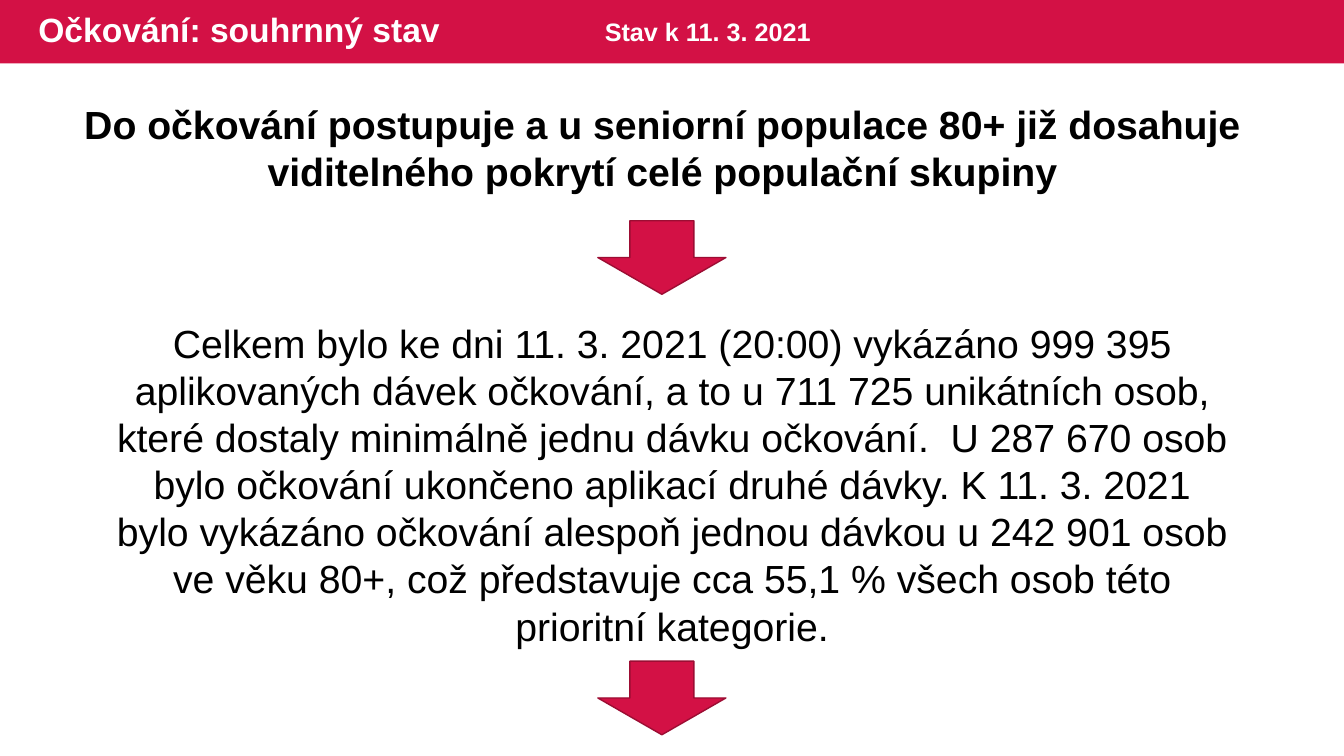
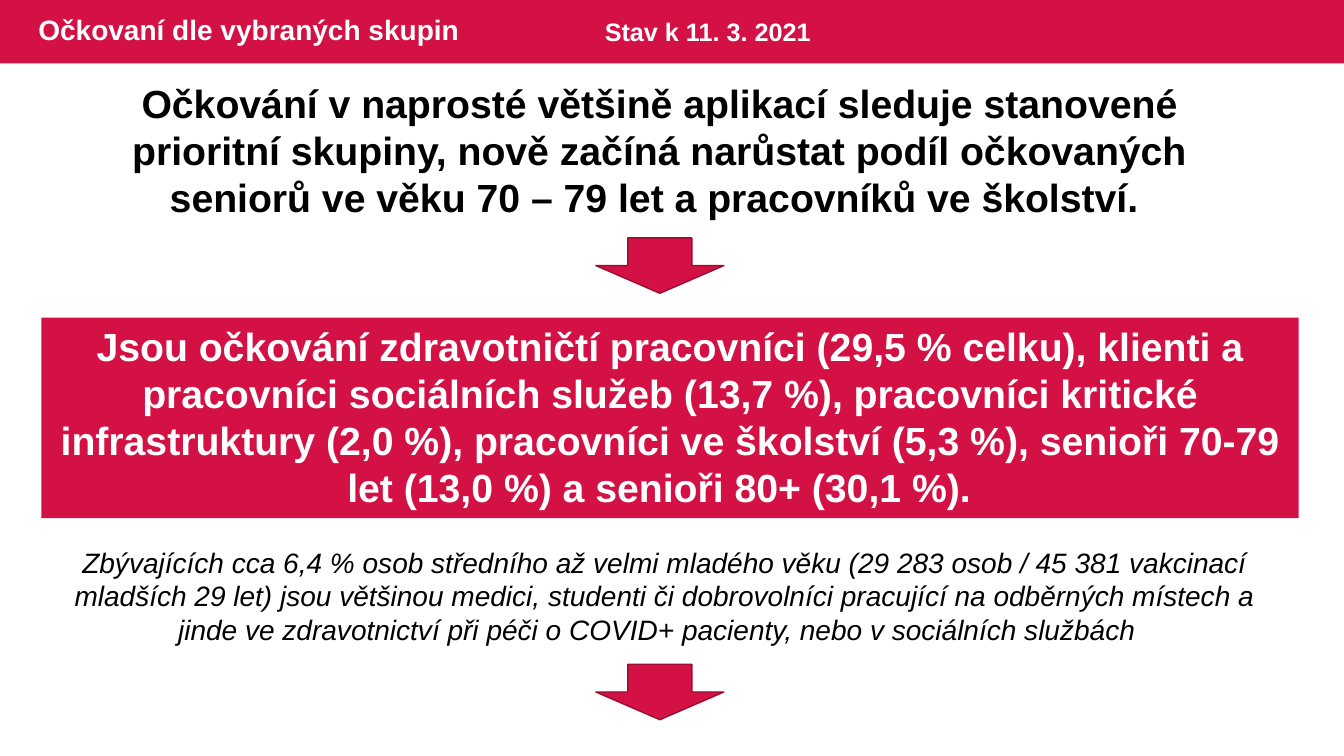
from pptx import Presentation
from pptx.dml.color import RGBColor
from pptx.enum.shapes import MSO_SHAPE
from pptx.enum.text import MSO_ANCHOR, MSO_AUTO_SIZE, PP_ALIGN
from pptx.util import Inches, Pt

COLORS = {"red": "D31145", "dark red": "9C0D33", "white": "FFFFFF", "black": "000000"}
FONT = "Arial"
WIDTH, HEIGHT, BAND_HEIGHT = 13.33, 7.5, 0.63
ARROW_WIDTH = 1.27
STATUS = "Stav k 11. 3. 2021"

# Content: boxes are (left, top, width, height) in inches
SLIDES = [
    {
        "title": "Očkování: souhrnný stav",
        "title_size": 24,
        "statements": [
            ("Do očkování postupuje a u seniorní populace 80+ již dosahuje viditelného "
             "pokrytí celé populační skupiny",
             (0.45, 0.95, 12.24, 1.04), {"bold": True}),
            ("Celkem bylo ke dni 11. 3. 2021 (20:00) vykázáno 999 395 aplikovaných dávek "
             "očkování, a to u 711 725 unikátních osob, které dostaly minimálně jednu dávku "
             "očkování.  U 287 670 osob bylo očkování ukončeno aplikací druhé dávky. "
             "K 11. 3. 2021 bylo vykázáno očkování alespoň jednou dávkou u 242 901 osob "
             "ve věku 80+, což představuje cca 55,1 % všech osob této prioritní kategorie.",
             (1.02, 3.12, 11.29, 3.4), {}),
        ],
        "arrows": {"left": 5.93, "height": 0.73, "tops": (2.19, 6.56)},
    },
    {
        "title": "Očkovaní dle vybraných skupin",
        "title_size": 20,
        "statements": [
            ("Očkování v naprosté většině aplikací sleduje stanovené prioritní skupiny, nově "
             "začíná narůstat podíl očkovaných seniorů ve věku 70 – 79 let a pracovníků "
             "ve školství. ",
             (0.7, 0.74, 11.68, 1.51), {"bold": True}),
            ("Jsou očkování zdravotničtí pracovníci (29,5 % celku), klienti a pracovníci "
             "sociálních služeb (13,7 %), pracovníci kritické infrastruktury (2,0 %), "
             "pracovníci ve školství (5,3 %), senioři 70-79 let (13,0 %) a senioři 80+ "
             "(30,1 %).  ",
             (0.41, 3.15, 12.47, 1.99), {"bold": True, "color": "white", "fill": "red"}),
            ("Zbývajících cca 6,4 % osob středního až velmi mladého věku (29 283 osob / "
             "45 381 vakcinací mladších 29 let) jsou většinou medici, studenti či "
             "dobrovolníci pracující na odběrných místech a jinde ve zdravotnictví při péči "
             "o COVID+ pacienty, nebo v sociálních službách  ",
             (0.31, 5.36, 12.57, 1.11), {"size": 20, "italic": True}),
        ],
        "arrows": {"left": 5.91, "height": 0.55, "tops": (2.36, 6.59)},
    },
]


def rgb(name):
    return RGBColor.from_string(COLORS[name])


def write(holder, text, size=28, color="black", bold=False, italic=False,
          align=PP_ALIGN.CENTER, anchor=MSO_ANCHOR.TOP, spacing=None):
    frame = holder.text_frame
    frame.word_wrap = True
    frame.auto_size = MSO_AUTO_SIZE.NONE
    frame.vertical_anchor = anchor
    paragraph = frame.paragraphs[0]
    paragraph.alignment = align
    paragraph.line_spacing = spacing
    run = paragraph.add_run()
    run.text = text
    font = run.font
    font.name, font.size, font.bold, font.italic = FONT, Pt(size), bold, italic
    font.color.rgb = rgb(color)


def add_box(slide, box, fill, line=None, kind=MSO_SHAPE.RECTANGLE):
    shape = slide.shapes.add_shape(kind, *map(Inches, box))
    shape.shadow.inherit = False
    shape.fill.solid()
    shape.fill.fore_color.rgb = rgb(fill)
    if line:
        shape.line.color.rgb = rgb(line)
        shape.line.width = Pt(1)
    else:
        shape.line.fill.background()
    return shape


def add_statement(slide, text, box, fill=None, **style):
    if fill:
        holder = add_box(slide, box, fill)
    else:
        holder = slide.shapes.add_textbox(*map(Inches, box))
    write(holder, text, **style)


def prepare_layout(layout):
    """Place the title for every slide that uses the layout."""
    title = next(p for p in layout.placeholders if p.placeholder_format.idx == 0)
    title.left, title.top = Inches(0.28), Inches(0)
    title.width, title.height = Inches(8.13), Inches(BAND_HEIGHT)


def build_slide(prs, layout, content):
    slide = prs.slides.add_slide(layout)

    # Header
    if len(prs.slides) == 1:  # the band moves to the layout, behind every title
        band = add_box(slide, (0, 0, WIDTH, BAND_HEIGHT), "red")
        layout.shapes._spTree.insert(2, band._element)
    write(slide.shapes.title, content["title"], size=content["title_size"], color="white",
          bold=True, align=PP_ALIGN.LEFT, anchor=MSO_ANCHOR.MIDDLE, spacing=0.9)
    add_statement(slide, STATUS, (5.9, 0.11, 2.96, 0.4), size=18, color="white",
                  bold=True, align=PP_ALIGN.LEFT)

    # Statements and the arrows between them
    for text, box, style in content["statements"]:
        add_statement(slide, text, box, **style)
    arrows = content["arrows"]
    for top in arrows["tops"]:
        add_box(slide, (arrows["left"], top, ARROW_WIDTH, arrows["height"]),
                "red", line="dark red", kind=MSO_SHAPE.DOWN_ARROW)


def main():
    prs = Presentation()
    prs.slide_width, prs.slide_height = Inches(WIDTH), Inches(HEIGHT)
    layout = prs.slide_layouts.get_by_name("Title Only")
    prepare_layout(layout)
    for content in SLIDES:
        build_slide(prs, layout, content)
    prs.save("out.pptx")


if __name__ == "__main__":
    main()
